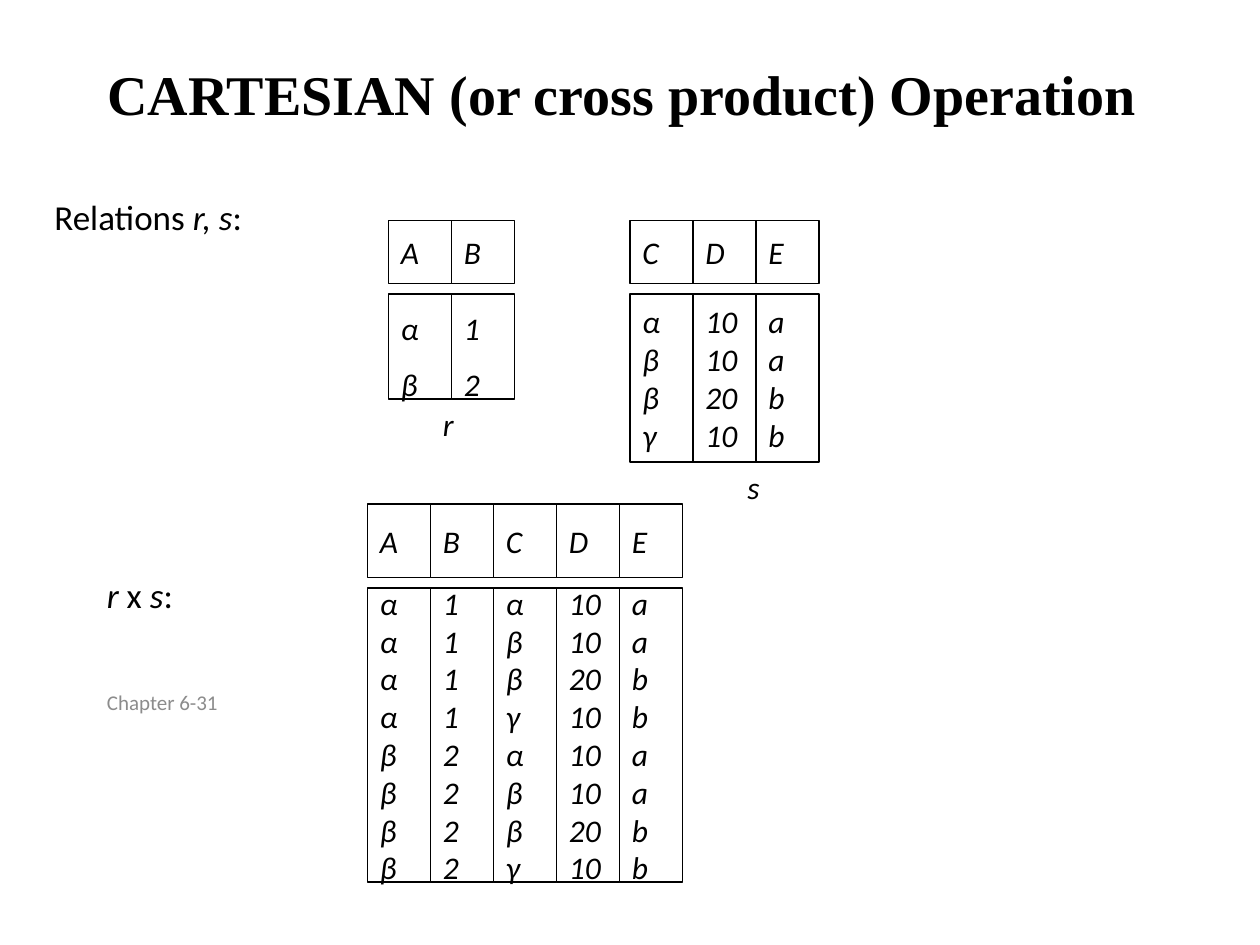
from dataclasses import dataclass
from itertools import product

from pptx import Presentation
from pptx.dml.color import RGBColor
from pptx.enum.shapes import MSO_SHAPE
from pptx.enum.text import MSO_ANCHOR, MSO_AUTO_SIZE, PP_ALIGN
from pptx.util import Pt


@dataclass(frozen=True)
class Theme:
    ink: RGBColor = RGBColor(0x00, 0x00, 0x00)
    paper: RGBColor = RGBColor(0xFF, 0xFF, 0xFF)
    muted: RGBColor = RGBColor(0x8C, 0x8C, 0x8C)
    title_font: str = "Times New Roman"
    body_font: str = "Calibri"
    title_size: int = 32
    label_size: int = 20
    cell_size: int = 18
    note_size: int = 12
    line_width: float = 0.75


class RelationSlide:
    CELL_WIDTH = 36
    HEADER_GAP = 6

    def __init__(self, deck, theme):
        self.theme = theme
        self.page = deck.slides.add_slide(deck.slide_layouts[5])

    def style(self, paragraph, size, color=None, font=None):
        paragraph.font.name = font or self.theme.body_font
        paragraph.font.size = Pt(size)
        paragraph.font.color.rgb = color or self.theme.ink

    def title(self, text, left, top, width, height):
        box = self.page.shapes.title
        box.left, box.top, box.width, box.height = map(Pt, (left, top, width, height))
        frame = box.text_frame
        frame.text = text
        frame.auto_size = MSO_AUTO_SIZE.NONE
        frame.vertical_anchor = MSO_ANCHOR.MIDDLE
        paragraph = frame.paragraphs[0]
        paragraph.alignment = PP_ALIGN.CENTER
        paragraph.line_spacing = 0.8
        self.style(paragraph, self.theme.title_size, font=self.theme.title_font)
        paragraph.font.bold = True

    def text(self, spans, left, top, width, height, size, color=None,
             anchor=MSO_ANCHOR.MIDDLE, wrap=True):
        """Add one line of text from (words, italic) spans."""
        box = self.page.shapes.add_textbox(*map(Pt, (left, top, width, height)))
        frame = box.text_frame
        frame.word_wrap = wrap
        frame.vertical_anchor = anchor
        paragraph = frame.paragraphs[0]
        self.style(paragraph, size, color)
        for words, italic in spans:
            span = paragraph.add_run()
            span.text = words
            span.font.italic = italic

    def cell(self, lines, left, top, height, spacing):
        box = self.page.shapes.add_shape(
            MSO_SHAPE.RECTANGLE, *map(Pt, (left, top, self.CELL_WIDTH, height)))
        box.shadow.inherit = False
        box.fill.solid()
        box.fill.fore_color.rgb = self.theme.paper
        box.line.color.rgb = self.theme.ink
        box.line.width = Pt(self.theme.line_width)
        frame = box.text_frame
        frame.text = "\n".join(lines)
        frame.word_wrap = False
        frame.vertical_anchor = MSO_ANCHOR.MIDDLE
        for paragraph in frame.paragraphs:
            paragraph.alignment = PP_ALIGN.LEFT
            paragraph.line_spacing = spacing
            self.style(paragraph, self.theme.cell_size)
            paragraph.font.italic = True

    def relation(self, names, rows, left, top, header_height, body_height, spacing=1.0):
        """Draw a header cell and a tall value cell for each attribute."""
        body_top = top + header_height + self.HEADER_GAP
        for index, (name, values) in enumerate(zip(names, zip(*rows))):
            x = left + index * self.CELL_WIDTH
            self.cell([name], x, top, header_height, 1.0)
            self.cell(values, x, body_top, body_height, spacing)


def main():
    deck = Presentation()
    deck.slide_width, deck.slide_height = Pt(720), Pt(540)
    theme = Theme()
    slide = RelationSlide(deck, theme)

    # Title and chapter note
    slide.title("CARTESIAN (or cross product) Operation", 19.5, 24, 672, 66)
    slide.text([("Chapter 6-31", False)], 54, 386.5, 168, 29,
               theme.note_size, theme.muted)

    # Labels at the left
    slide.text([("Relations ", False), ("r, s", True), (":", False)],
               24, 108, 554, 26, theme.label_size, anchor=MSO_ANCHOR.TOP)
    slide.text([("r", True), (" x ", False), ("s", True), (":", False)],
               54, 324, 554, 26, theme.label_size, anchor=MSO_ANCHOR.TOP)

    # Relations r and s, and their product
    r_rows = [("α", "1"), ("β", "2")]
    s_rows = [("α", "10", "a"), ("β", "10", "a"), ("β", "20", "b"), ("γ", "10", "b")]
    product_rows = [first + second for first, second in product(r_rows, s_rows)]
    slide.relation("AB", r_rows, 222, 126, 36, 60, spacing=1.5)
    slide.relation("ABCDE", product_rows, 210, 288, 42, 168)
    slide.relation("CDE", s_rows, 360, 126, 36, 96)

    # Names below the relations
    slide.text([("r", True)], 246, 228, 20, 29, theme.cell_size, wrap=False)
    slide.text([("s", True)], 420, 264, 66, 29, theme.cell_size)

    deck.save("out.pptx")


if __name__ == "__main__":
    main()
